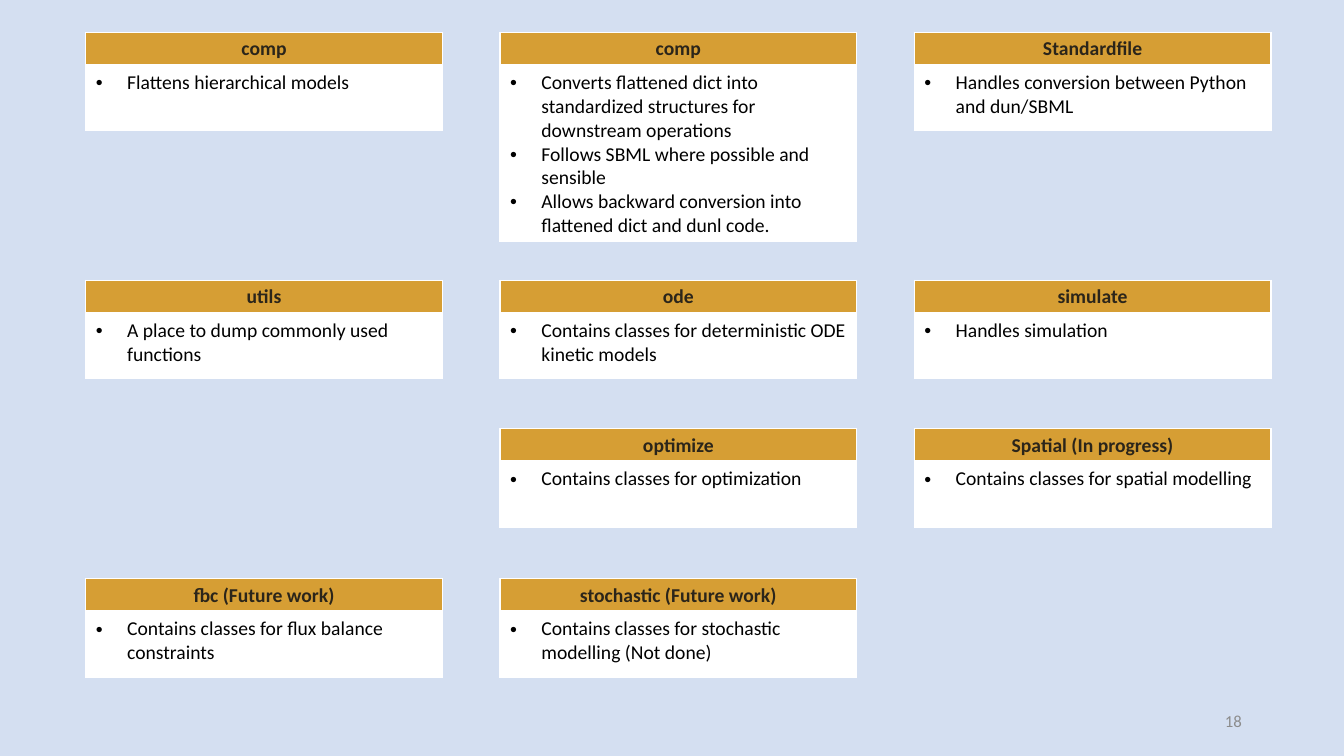
import pptx
import pptx.dml.color
import pptx.enum.text
import pptx.oxml.ns
import pptx.util
from lxml import etree

Cm, Pt = pptx.util.Cm, pptx.util.Pt
ALIGN = pptx.enum.text.PP_ALIGN
qn = pptx.oxml.ns.qn

COLORS = {"background": "D4DFF1", "header": "D69E34", "header_text": "2B251A",
          "body": "FFFFFF", "border": "FFFFFF", "text": "000000",
          "number": "8C8C8C"}
FONT = "Calibri"

LEFT, PITCH, CARD_WIDTH = 2.16, 10.44, 8.99
ROW_TOPS = [0.81, 7.06, 10.8, 14.58]
HEADER_HEIGHT, BODY_HEIGHT, TALL_BODY_HEIGHT = 0.84, 1.63, 4.42
BULLET_INDENT = 0.79

# (column, row, title, bullets, body height)
MODULES = [
    (0, 0, "comp", ["Flattens hierarchical models"], BODY_HEIGHT),
    (1, 0, "comp",
     ["Converts flattened dict into standardized structures for downstream operations",
      "Follows SBML where possible and sensible",
      "Allows backward conversion into flattened dict and dunl code."],
     TALL_BODY_HEIGHT),
    (2, 0, "Standardfile", ["Handles conversion between Python and dun/SBML"], BODY_HEIGHT),
    (0, 1, "utils", ["A place to dump commonly used functions"], BODY_HEIGHT),
    (1, 1, "ode", ["Contains classes for deterministic ODE kinetic models"], BODY_HEIGHT),
    (2, 1, "simulate", ["Handles simulation"], BODY_HEIGHT),
    (1, 2, "optimize", ["Contains classes for optimization"], BODY_HEIGHT),
    (2, 2, "Spatial (In progress)", ["Contains classes for spatial modelling"], BODY_HEIGHT),
    (0, 3, "fbc (Future work)", ["Contains classes for flux balance constraints"], BODY_HEIGHT),
    (1, 3, "stochastic (Future work)",
     ["Contains classes for stochastic modelling (Not done)"], BODY_HEIGHT),
]


def rgb(name):
    """Return the named colour."""
    return pptx.dml.color.RGBColor.from_string(COLORS[name])


def add_run(p, text, size, color, bold=False):
    """Add a formatted run to a paragraph."""
    r = p.add_run()
    r.text = text
    r.font.name, r.font.size, r.font.bold = FONT, Pt(size), bold
    r.font.color.rgb = rgb(color)


def add_bullet(p):
    """Give a paragraph a round bullet with a hanging indent."""
    pPr = p._p.get_or_add_pPr()
    pPr.set("marL", str(Cm(BULLET_INDENT)))
    pPr.set("indent", str(-Cm(BULLET_INDENT)))
    etree.SubElement(pPr, qn("a:buFont"), typeface="Arial")
    etree.SubElement(pPr, qn("a:buChar"), char="•")


def format_cell(cell, fill, bottom_width=1):
    """Set the borders and then the fill of a cell."""
    tcPr = cell._tc.get_or_add_tcPr()
    for side, width in (("L", 1), ("R", 1), ("T", 1), ("B", bottom_width)):
        ln = etree.SubElement(tcPr, qn("a:ln" + side), w=str(Pt(width)))
        solid = etree.SubElement(ln, qn("a:solidFill"))
        etree.SubElement(solid, qn("a:srgbClr"), val=COLORS["border"])
    cell.fill.solid()
    cell.fill.fore_color.rgb = rgb(fill)


def add_card(s, column, row, title, bullets, body_height):
    """Add a two-row table with a module's title and its bullets."""
    table = s.shapes.add_table(
        2, 1, Cm(LEFT + column * PITCH), Cm(ROW_TOPS[row]),
        Cm(CARD_WIDTH), Cm(HEADER_HEIGHT + body_height)).table
    table.horz_banding = False
    table.rows[0].height = Cm(HEADER_HEIGHT)
    table.rows[1].height = Cm(body_height)

    header, body = table.cell(0, 0), table.cell(1, 0)
    format_cell(header, "header", bottom_width=3)
    p = header.text_frame.paragraphs[0]
    p.alignment = ALIGN.CENTER
    add_run(p, title, 14, "header_text", bold=True)

    format_cell(body, "body")
    tf = body.text_frame
    for i, text in enumerate(bullets):
        p = tf.add_paragraph() if i else tf.paragraphs[0]
        add_bullet(p)
        add_run(p, text, 14, "text")


def add_slide_number(s, number):
    """Add the slide number at the bottom right."""
    tf = s.shapes.add_textbox(Cm(23.93), Cm(17.65), Cm(7.62), Cm(1.02)).text_frame
    tf.word_wrap = True
    tf.vertical_anchor = pptx.enum.text.MSO_ANCHOR.MIDDLE
    p = tf.paragraphs[0]
    p.alignment = ALIGN.RIGHT
    add_run(p, number, 12, "number")


def main():
    """Build the slide of module cards and save it."""
    prs = pptx.Presentation()
    prs.slide_width, prs.slide_height = Cm(33.87), Cm(19.05)
    s = prs.slides.add_slide(prs.slide_layouts[6])
    s.background.fill.solid()
    s.background.fill.fore_color.rgb = rgb("background")
    add_slide_number(s, "18")
    for module in MODULES:
        add_card(s, *module)
    prs.save("out.pptx")


main()
